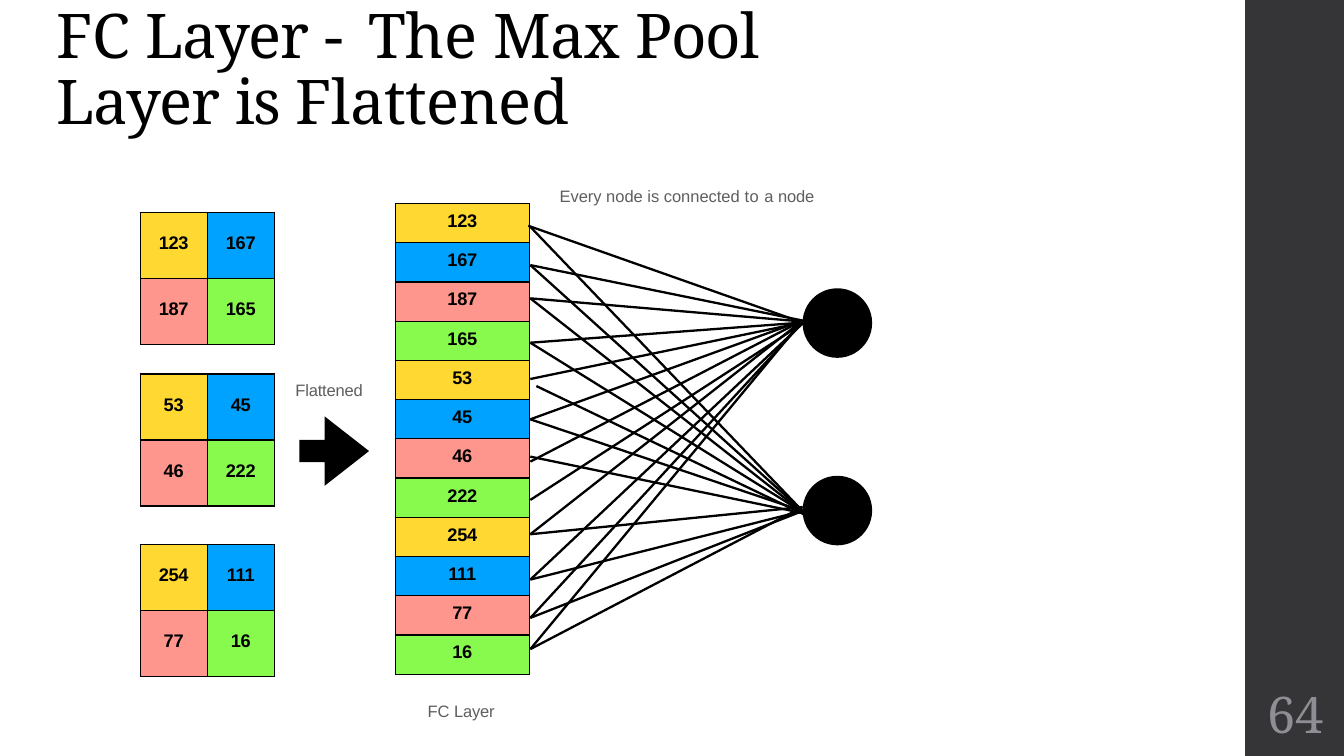
"""Build a slide showing max pool maps flattened into a fully connected layer."""
from dataclasses import dataclass

from lxml import etree
from pptx import Presentation
from pptx.dml.color import RGBColor
from pptx.enum.shapes import MSO_CONNECTOR, MSO_SHAPE
from pptx.enum.text import MSO_ANCHOR, MSO_AUTO_SIZE, PP_ALIGN
from pptx.oxml.ns import qn
from pptx.shapes.autoshape import Shape
from pptx.slide import Slide
from pptx.table import _Cell
from pptx.text.text import TextFrame
from pptx.util import Inches, Pt

RECTANGLE, OVAL, ARROW = MSO_SHAPE.RECTANGLE, MSO_SHAPE.OVAL, MSO_SHAPE.RIGHT_ARROW
STRAIGHT = MSO_CONNECTOR.STRAIGHT
LEFT, CENTER = PP_ALIGN.LEFT, PP_ALIGN.CENTER
TOP, MIDDLE = MSO_ANCHOR.TOP, MSO_ANCHOR.MIDDLE
NO_AUTOFIT = MSO_AUTO_SIZE.NONE


@dataclass(frozen=True)
class TextStyle:
    font: str
    size: float
    color: str
    bold: bool = False


@dataclass(frozen=True)
class Theme:
    ink: str = "000000"
    sidebar: str = "353537"
    quadrants: tuple[str, ...] = ("FFD932", "00A2FF", "FF968D", "88FA4E")
    border_width: float = 1
    link_width: float = 1.65
    title: TextStyle = TextStyle("Noto Serif", 44, "000000")
    number: TextStyle = TextStyle("Noto Serif", 36, "8E8E94")
    caption: TextStyle = TextStyle("Arial", 11.8, "5E5E5E")
    value: TextStyle = TextStyle("Arial", 13, "000000", True)


@dataclass(frozen=True)
class Box:
    left: float
    top: float
    width: float
    height: float

    def emu(self) -> tuple[int, ...]:
        return tuple(Inches(v) for v in (self.left, self.top, self.width, self.height))


@dataclass(frozen=True)
class Span:
    text: str
    spacing: float = 0


@dataclass(frozen=True)
class Caption:
    box: Box
    spans: tuple[Span, ...]


@dataclass(frozen=True)
class PoolMap:
    top: float
    values: tuple[int, ...]


@dataclass(frozen=True)
class Link:
    start_y: float
    end_y: float
    start_x: float = 5.26
    end_x: float = 7.96


THEME = Theme()
TITLE_BOX = Box(0.56, -0.08, 6.97, 1.53)
TITLE = (
    Span("FC ", -0.5), Span("Layer ", -0.8), Span("- ", 3.1), Span("The ", -0.3),
    Span("Max ", -0.5), Span("Pool Layer ", -0.8), Span("is ", -1.3), Span("Flattened", -0.3),
)
POOL_MAPS = (
    PoolMap(2.11, (123, 167, 187, 165)),
    PoolMap(3.71, (53, 45, 46, 222)),
    PoolMap(5.4, (254, 111, 77, 16)),
)
CAPTIONS = (
    Caption(Box(5.55, 1.84, 2.61, 0.21), (
        Span("Every node is connected "), Span("to ", 0.4), Span("a "), Span("node", -0.1))),
    Caption(Box(2.93, 3.76, 0.71, 0.21), (Span("Flattened", -0.1),)),
    Caption(Box(4.24, 6.94, 0.69, 0.21), (Span("FC "), Span("Layer", -0.1))),
)
NODES = (Box(7.96, 2.86, 0.69, 0.69), Box(7.96, 4.72, 0.69, 0.69))
LINKS = (
    Link(2.24, 3.2, 5.24), Link(2.25, 5.07),
    Link(2.63, 3.18), Link(2.63, 5.07),
    Link(2.96, 3.19), Link(2.96, 5.08),
    Link(3.4, 3.2), Link(3.4, 5.08),
    Link(3.76, 3.2), Link(3.83, 5.13, 5.32, 8.03),
    Link(4.16, 3.18), Link(4.16, 5.07),
    Link(4.58, 3.18), Link(4.53, 5.09),
    Link(4.96, 3.21),
    Link(5.3, 3.18), Link(5.3, 5.03),
    Link(5.75, 3.21), Link(5.75, 5.07),
    Link(6.13, 3.2), Link(6.13, 5.07),
    Link(6.44, 3.18), Link(6.44, 5.03),
)


def rgb(color: str) -> RGBColor:
    return RGBColor.from_string(color)


def write(frame: TextFrame, spans: tuple[Span, ...], style: TextStyle,
          align: PP_ALIGN = LEFT) -> None:
    paragraph = frame.paragraphs[0]
    paragraph.alignment = align
    for span in spans:
        run = paragraph.add_run()
        run.text = span.text
        run.font.name, run.font.size, run.font.bold = style.font, Pt(style.size), style.bold
        run.font.color.rgb = rgb(style.color)
        run.font._element.set("spc", str(round(span.spacing * 100)))


def set_frame(frame: TextFrame, anchor: MSO_ANCHOR, top_margin: float) -> None:
    frame.word_wrap, frame.auto_size, frame.vertical_anchor = True, NO_AUTOFIT, anchor
    frame.margin_left = frame.margin_right = frame.margin_bottom = 0
    frame.margin_top = Inches(top_margin)


def draw_title(slide: Slide) -> None:
    title = slide.shapes.title
    title.left, title.top, title.width, title.height = TITLE_BOX.emu()
    set_frame(title.text_frame, MIDDLE, 0.05)
    write(title.text_frame, TITLE, THEME.title)
    title.text_frame.paragraphs[0].line_spacing = 0.9


def draw_label(slide: Slide, caption: Caption, style: TextStyle,
               align: PP_ALIGN = LEFT, anchor: MSO_ANCHOR = TOP) -> None:
    label = slide.shapes.add_textbox(*caption.box.emu())
    set_frame(label.text_frame, anchor, 0.01)
    write(label.text_frame, caption.spans, style, align)


def draw_solid(slide: Slide, preset: MSO_SHAPE, box: Box, color: str) -> Shape:
    solid = slide.shapes.add_shape(preset, *box.emu())
    solid.shadow.inherit = False
    solid.fill.solid()
    solid.fill.fore_color.rgb = rgb(color)
    solid.line.fill.background()
    return solid


def draw_link(slide: Slide, link: Link) -> None:
    ends = (link.start_x, link.start_y, link.end_x, link.end_y)
    connector = slide.shapes.add_connector(STRAIGHT, *(Inches(v) for v in ends))
    connector.line.color.rgb = rgb(THEME.ink)
    connector.line.width = Pt(THEME.link_width)
    etree.SubElement(connector._element.spPr, qn("a:effectLst"))


def add_borders(cell: _Cell) -> None:
    properties = cell._tc.get_or_add_tcPr()
    for side in ("a:lnL", "a:lnR", "a:lnT", "a:lnB"):
        edge = etree.SubElement(properties, qn(side), w=str(Pt(THEME.border_width)))
        fill = etree.SubElement(edge, qn("a:solidFill"))
        etree.SubElement(fill, qn("a:srgbClr"), val=THEME.ink)


def draw_values(slide: Slide, box: Box, values: tuple[int, ...], columns: int) -> None:
    rows = len(values) // columns
    table = slide.shapes.add_table(rows, columns, *box.emu()).table
    table.first_row = table.horz_banding = False
    for column in table.columns:
        column.width = Inches(box.width / columns)
    for row in table.rows:
        row.height = Inches(box.height / rows)
    for index, (cell, value) in enumerate(zip(table.iter_cells(), values)):
        add_borders(cell)
        cell.fill.solid()
        cell.fill.fore_color.rgb = rgb(THEME.quadrants[index % len(THEME.quadrants)])
        cell.margin_left = cell.margin_right = cell.margin_top = 0
        cell.margin_bottom = Inches(0.04)
        cell.vertical_anchor = MIDDLE
        write(cell.text_frame, (Span(str(value), -0.2),), THEME.value, CENTER)


def main() -> None:
    deck = Presentation()
    deck.slide_width, deck.slide_height = Inches(13.33), Inches(7.5)
    slide = deck.slides.add_slide(deck.slide_layouts[5])
    draw_solid(slide, RECTANGLE, Box(12.35, 0, 0.98, 7.5), THEME.sidebar)
    draw_title(slide)
    for pool in POOL_MAPS:
        draw_values(slide, Box(1.39, pool.top, 1.33, 1.31), pool.values, 2)
    flattened = tuple(value for pool in POOL_MAPS for value in pool.values)
    draw_values(slide, Box(3.92, 2.02, 1.33, 4.67), flattened, 1)
    for node in NODES:
        draw_solid(slide, OVAL, node, THEME.ink)
    for link in LINKS:
        draw_link(slide, link)
    arrow = draw_solid(slide, ARROW, Box(2.97, 4.13, 0.69, 0.69), THEME.ink)
    arrow.adjustments[0], arrow.adjustments[1] = 0.32, 0.64
    for caption in CAPTIONS:
        draw_label(slide, caption, THEME.caption)
    page = Caption(Box(12.35, 6.75, 1, 0.65), (Span("64"),))
    draw_label(slide, page, THEME.number, CENTER, MIDDLE)
    deck.save("out.pptx")


if __name__ == "__main__":
    main()
